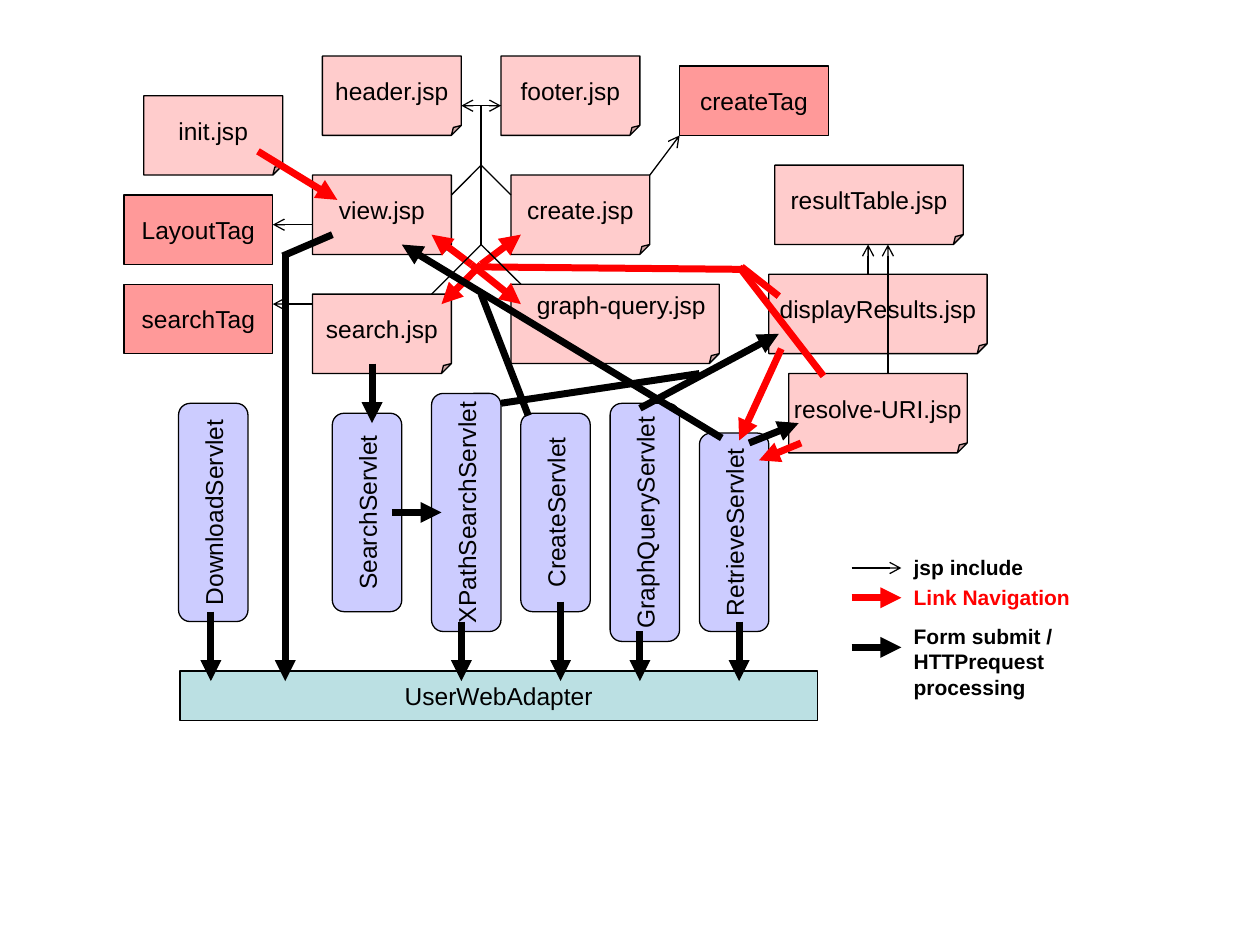
from lxml import etree
from pptx import Presentation
from pptx.dml.color import RGBColor
from pptx.enum.shapes import MSO_CONNECTOR, MSO_SHAPE
from pptx.enum.text import MSO_ANCHOR, PP_ALIGN
from pptx.oxml.ns import qn
from pptx.util import Cm, Pt

STRAIGHT = MSO_CONNECTOR.STRAIGHT
RECT, PAGE, ROUNDED = MSO_SHAPE.RECTANGLE, MSO_SHAPE.FOLDED_CORNER, MSO_SHAPE.ROUNDED_RECTANGLE
TOP, MIDDLE = MSO_ANCHOR.TOP, MSO_ANCHOR.MIDDLE
CENTER, LEFT = PP_ALIGN.CENTER, PP_ALIGN.LEFT
BLACK, RED = "000000", "FF0000"
PINK, ROSE, LILAC, TEAL = "FFCCCC", "FF9999", "CCCCFF", "BBE0E3"
INCLUDE = (BLACK, 0.75, "arrow")
LINK = (RED, 4, "triangle")
SUBMIT = (BLACK, 4, "triangle")
PAGE_HEIGHT, TAG_WIDTH, TAG_HEIGHT, SERVLET_WIDTH = 1.6, 3, 1.4, 1.4
ADAPTER_TOP, ARROW_END = 12.4, 12.6

PAGES = [
    ("init.jsp", 0.4, 0.8, 2.8), ("view.jsp", 3.8, 2.4, 2.8),
    ("create.jsp", 7.8, 2.4, 2.8), ("search.jsp", 3.8, 4.8, 2.8),
    ("displayResults.jsp", 13, 4.4, 4.4), ("resultTable.jsp", 13.12, 2.2, 3.8),
    ("resolve-URI.jsp", 13.4, 6.4, 3.6), ("header.jsp", 4, 0, 2.8),
    ("footer.jsp", 7.6, 0, 2.8),
]
TAGS = [("createTag", 11.2, 0.2), ("searchTag", 0, 4.6), ("LayoutTag", 0, 2.8)]
SERVLETS = [
    ("DownloadServlet", 1.8, 9.2, 4.4), ("SearchServlet", 4.9, 9.2, 4),
    ("XPathSearchServlet", 6.9, 9.2, 4.8), ("CreateServlet", 8.7, 9.2, 4),
    ("GraphQueryServlet", 10.5, 9.4, 4.8), ("RetrieveServlet", 12.3, 9.6, 4),
]
CROSS_LINKS = [
    (7.2, 4.2, 6.4, 5), (7, 4.2, 6.2, 3.6), (7, 4.2, 8, 5), (7.2, 4.2, 8, 3.6),
]
CROSS_LINK_STEMS = [(12.5, 4.3, 7.15, 4.25)]
INCLUDES = [
    (6.8, 1, 7.6, 1), (7.6, 1, 6.8, 1), (15, 4.4, 15, 3.8), (15.4, 6.4, 15.4, 3.8),
    (3.8, 5, 3, 5), (10.6, 2.4, 11.2, 1.6), (3.8, 3.4, 3, 3.4),
]
INCLUDE_STEMS = [
    (7.2, 1, 7.2, 3.8), (7.2, 3.8, 8, 4.6), (6.2, 4.8, 7.2, 3.8),
    (7.8, 2.8, 7.2, 2.2), (7.2, 2.2, 6.6, 2.8),
]
SUBMITS = [
    (5, 6.2, 5, 7.4), (5.4, 9.2, 6.4, 9.2), (10.4, 7.1, 13.2, 5.6),
    (12.6, 7.8, 13.6, 7.4), (12.05, 7.7, 5.6, 3.8),
]
SUBMIT_STEMS = [(11.6, 6.4, 7.6, 7), (4.2, 3.6, 3.2, 4.03), (7.2, 4.8, 8.15, 7.25)]
ADAPTER_CALLS = [(1.75, 11.2), (3.25, 4), (6.8, 11.4), (8.8, 11), (10.4, 11.6), (12.4, 11.4)]
PAGE_LINKS = [
    (2.7, 1.92, 4.3, 2.9), (13.25, 5.9, 12.4, 7.75), (13.65, 7.8, 12.8, 8.15),
]
PAGE_LINK_STEMS = [(13.2, 4.84, 12.45, 4.25), (14.1, 6.45, 12.4, 4.25)]
LEGEND = [
    (["jsp include"], INCLUDE, 0, 0.4),
    (["Link Navigation"], LINK, 0.6, 1),
    (["Form submit /", "HTTPrequest", "processing"], SUBMIT, 1.4, 2),
]


def rgb(value):
    """Turn a hex string into a colour."""
    return RGBColor.from_string(value)


def write(frame, lines, size, color=BLACK, bold=False, align=CENTER, anchor=MIDDLE):
    """Write and format the lines of a text frame."""
    frame.text = "\n".join(lines)
    frame.word_wrap = False
    frame.vertical_anchor = anchor
    for paragraph in frame.paragraphs:
        paragraph.alignment = align
        font = paragraph.runs[0].font
        font.name, font.size, font.bold = "Arial", Pt(size), bold
        font.color.rgb = rgb(color)


def add_node(slide, kind, label, left, top, width, height, fill):
    """Add one labelled, outlined node."""
    node = slide.shapes.add_shape(kind, Cm(left), Cm(top), Cm(width), Cm(height))
    node.shadow.inherit = False
    node.fill.solid()
    node.fill.fore_color.rgb = rgb(fill)
    node.line.color.rgb = rgb(BLACK)
    node.line.width = Pt(0.75)
    write(node.text_frame, [label], 14)
    return node


def add_page(slide, label, left, top, width):
    """Add one JSP page with a small folded corner."""
    page = add_node(slide, PAGE, label, left, top, width, PAGE_HEIGHT, PINK)
    guides = page._element.spPr.find(qn("a:prstGeom")).find(qn("a:avLst"))
    etree.SubElement(guides, qn("a:gd"), name="adj", fmla="val 12500")
    return page


def add_lines(slide, left, top, segments, style, headed=True):
    """Draw segments in one style, with or without arrowheads."""
    color, width, head = style
    for x1, y1, x2, y2 in segments:
        line = slide.shapes.add_connector(
            STRAIGHT, Cm(left + x1), Cm(top + y1), Cm(left + x2), Cm(top + y2))
        line.line.color.rgb = rgb(color)
        line.line.width = Pt(width)
        properties = line._element.spPr
        if headed:
            etree.SubElement(properties.find(qn("a:ln")), qn("a:tailEnd"), type=head)
        etree.SubElement(properties, qn("a:effectLst"))


def add_pages(slide, left, top):
    """Place the JSP pages and the tags they use."""
    for label, x, y, width in PAGES:
        add_page(slide, label, left + x, top + y, width)
    graph_query = add_page(slide, "graph-query.jsp", left + 7.8, top + 4.6, 4.2)
    graph_query.text_frame.vertical_anchor = TOP
    graph_query.text_frame.margin_left = Cm(0.5)
    for label, x, y in TAGS:
        add_node(slide, RECT, label, left + x, top + y, TAG_WIDTH, TAG_HEIGHT, ROSE)


def add_servlets(slide, left, top):
    """Place the upright servlets above the adapter bar."""
    add_node(slide, RECT, "UserWebAdapter", left + 1.13, top + ADAPTER_TOP, 12.85, 1, TEAL)
    for label, x, y, length in SERVLETS:
        servlet = add_node(slide, ROUNDED, label, left + x - length / 2,
                           top + y - SERVLET_WIDTH / 2, length, SERVLET_WIDTH, LILAC)
        servlet.rotation = 270


def add_flows(slide, left, top):
    """Draw the links, submits and includes between the nodes."""
    adapter_calls = [(x, y, x, ARROW_END) for x, y in ADAPTER_CALLS]
    for arrows, stems, style in [
        (CROSS_LINKS, CROSS_LINK_STEMS, LINK),
        (INCLUDES, INCLUDE_STEMS, INCLUDE),
        (SUBMITS + adapter_calls, SUBMIT_STEMS, SUBMIT),
        (PAGE_LINKS, PAGE_LINK_STEMS, LINK),
    ]:
        add_lines(slide, left, top, arrows, style)
        add_lines(slide, left, top, stems, style, headed=False)


def add_legend(slide, left, top):
    """Explain the three arrow styles."""
    for lines, style, text_top, arrow_y in LEGEND:
        add_lines(slide, left, top, [(0, arrow_y, 1, arrow_y)], style)
        caption = slide.shapes.add_textbox(
            Cm(left + 1), Cm(top + text_top), Cm(3.8), Cm(0.25 + 0.51 * len(lines)))
        write(caption.text_frame, lines, 12, style[0], True, LEFT, TOP)


def main():
    """Build the slide and save it."""
    deck = Presentation()
    deck.slide_width, deck.slide_height = Cm(25.4), Cm(19.05)
    slide = deck.slides.add_slide(deck.slide_layouts[6])
    for add_region in (add_pages, add_servlets, add_flows):
        add_region(slide, 2.5, 1.13)
    add_legend(slide, 17.17, 11.05)
    deck.save("out.pptx")


if __name__ == "__main__":
    main()
